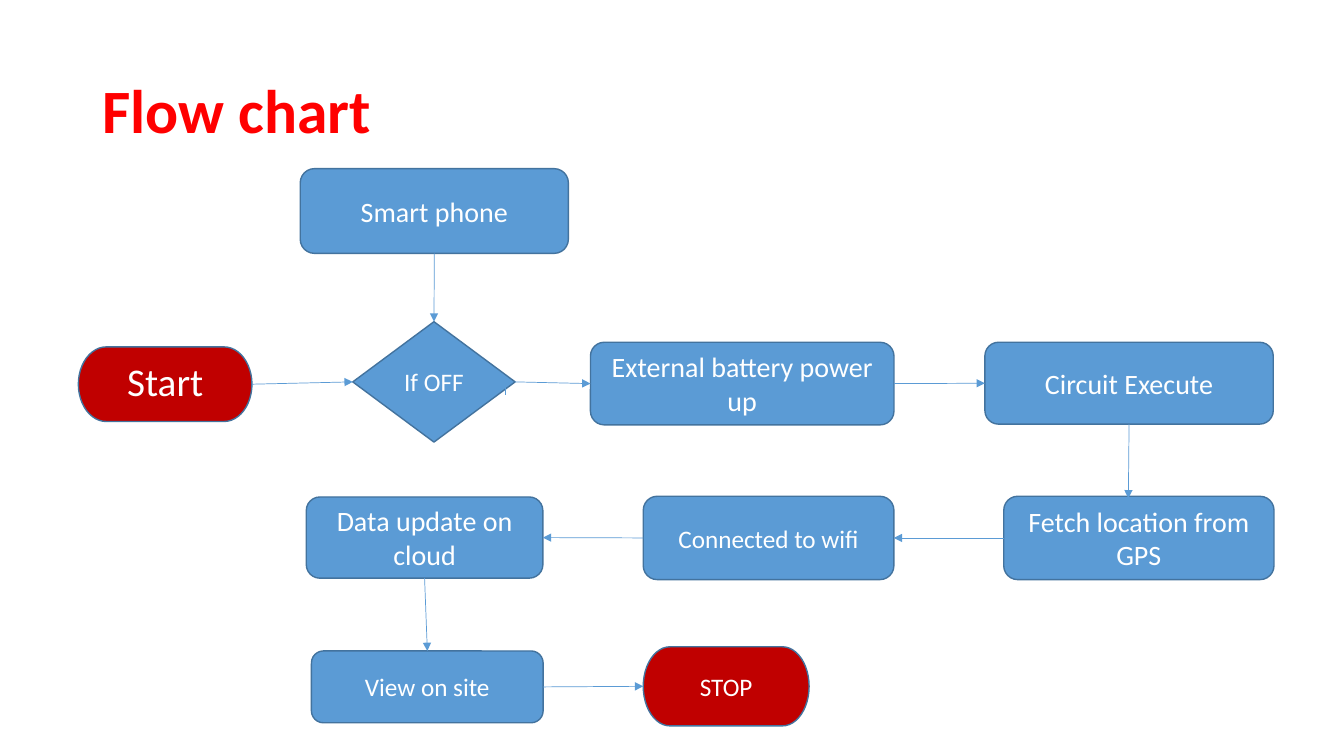
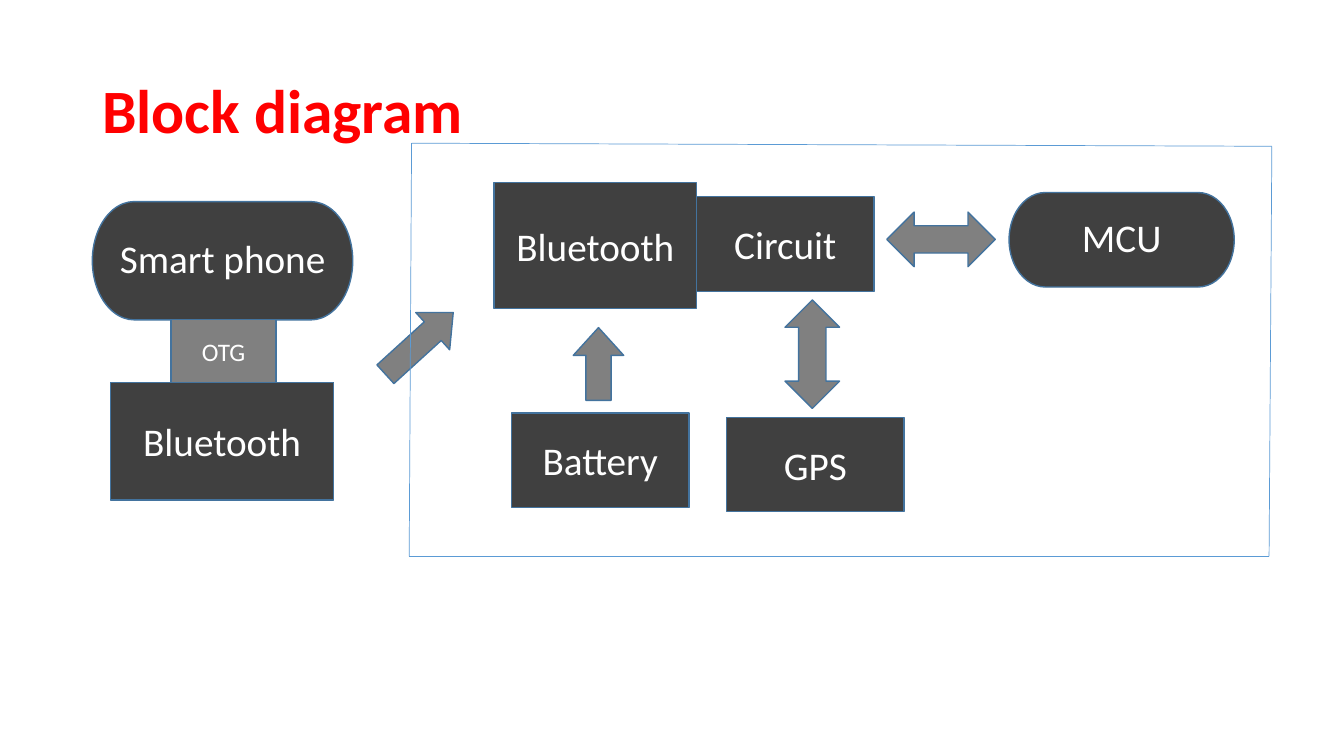
from itertools import pairwise

from pptx import Presentation
from pptx.dml.color import RGBColor
from pptx.enum.shapes import MSO_CONNECTOR, MSO_SHAPE
from pptx.enum.text import MSO_ANCHOR, PP_ALIGN
from pptx.oxml.ns import qn
from pptx.util import Pt
from lxml.etree import SubElement

FONT = "Calibri"
COLORS = {
    "title": "FF0000",
    "text": "FFFFFF",
    "step": "5B9BD5",
    "terminal": "C00000",
    "block": "404040",
    "arrow": "808080",
    "outline": "43739E",
    "line": "5B9BD5",
}
TOP, LEFT, BOTTOM, RIGHT = range(4)
STEP = MSO_SHAPE.ROUNDED_RECTANGLE
TERMINAL = MSO_SHAPE.FLOWCHART_TERMINATOR
DECISION = MSO_SHAPE.FLOWCHART_DECISION
PROCESS = MSO_SHAPE.FLOWCHART_PROCESS
DOUBLE_ARROW = MSO_SHAPE.LEFT_RIGHT_ARROW
DOWN_ARROW = MSO_SHAPE.DOWN_ARROW


def rgb(name):
    return RGBColor.from_string(COLORS[name])


def write(sp, text, size=20, color="text", bold=False,
          align=PP_ALIGN.CENTER, spacing=None, before=None):
    tf = sp.text_frame
    tf.word_wrap = True
    tf.vertical_anchor = MSO_ANCHOR.MIDDLE
    p = tf.paragraphs[0]
    p.alignment = align
    if spacing:
        p.line_spacing = spacing
    if before:
        p.space_before = Pt(before)
    r = p.add_run()
    r.text = text
    r.font.name = FONT
    r.font.size = Pt(size)
    r.font.bold = bold
    r.font.color.rgb = rgb(color)


def add_slide(prs, title):
    s = prs.slides.add_slide(prs.slide_layouts[6])
    sp = s.shapes.add_textbox(Pt(66), Pt(29), Pt(828), Pt(104))
    write(sp, title, size=44, color="title", bold=True,
          align=PP_ALIGN.LEFT, spacing=0.9)
    return s


def add_box(s, kind, box, fill, text=None, rotation=0, **fmt):
    sp = s.shapes.add_shape(kind, *map(Pt, box))
    sp.shadow.inherit = False
    sp.fill.solid()
    sp.fill.fore_color.rgb = rgb(fill)
    sp.line.color.rgb = rgb("outline")
    sp.line.width = Pt(1)
    sp.rotation = rotation
    if text:
        write(sp, text, **fmt)
    return sp


def add_line(s, start, end, arrow=False):
    cn = s.shapes.add_connector(MSO_CONNECTOR.STRAIGHT, *map(Pt, (*start, *end)))
    cn.line.color.rgb = rgb("line")
    cn.line.width = Pt(0.5)
    if arrow:
        SubElement(cn.line._get_or_add_ln(), qn("a:tailEnd"), type="triangle")
    SubElement(cn._element.spPr, qn("a:effectLst"))
    return cn


def link(s, source, source_side, target, target_side):
    cn = add_line(s, (0, 0), (0, 0), arrow=True)
    cn.begin_connect(source, source_side)
    cn.end_connect(target, target_side)


def flow_chart(prs):
    s = add_slide(prs, "Flow chart")
    stop = add_box(s, TERMINAL, (459.5, 462, 118.5, 56.5), "terminal", "STOP", size=18)
    decision = add_box(s, DECISION, (252, 229.8, 116, 86), "step", "If OFF", size=18)
    start = add_box(s, TERMINAL, (56, 247.8, 124, 53.3), "terminal", "Start",
                    size=28, spacing=0.9, before=10)

    steps = [
        ("Smart phone", (214.5, 120.5, 191.5, 60.5), 20),
        ("External battery power up", (421.8, 244.5, 216.8, 59), 20),
        ("Circuit Execute", (703.5, 244.5, 206, 58.5), 20),
        ("Fetch location from GPS", (717, 354.5, 193, 59.5), 20),
        ("Connected to wifi", (459.5, 354.5, 179, 59.5), 18),
        ("Data update on cloud", (218.8, 355, 169, 58), 20),
        ("View on site", (222.5, 465, 165.5, 51.3), 18),
    ]
    phone, battery, board, location, wifi, cloud, site = [
        add_box(s, STEP, box, "step", text, size=size) for text, box, size in steps
    ]

    for ends in [
        (start, RIGHT, decision, LEFT),
        (phone, BOTTOM, decision, TOP),
        (decision, RIGHT, battery, LEFT),
        (battery, RIGHT, board, LEFT),
        (location, LEFT, wifi, RIGHT),
        (wifi, LEFT, cloud, RIGHT),
        (cloud, BOTTOM, site, TOP),
        (site, RIGHT, stop, LEFT),
    ]:
        link(s, *ends)
    down = add_line(s, (806.5, 303), (806, 356), arrow=True)
    down.begin_connect(board, BOTTOM)
    add_line(s, (360.7, 276.5), (360.7, 282.2))


def block_diagram(prs):
    s = add_slide(prs, "Block diagram")
    rounded = {"spacing": 0.9, "before": 10}
    add_box(s, TERMINAL, (66, 144, 186, 84.5), "block", "Smart phone", size=28, **rounded)
    add_box(s, PROCESS, (122.3, 228.3, 75, 45), "arrow", "OTG", size=18)

    for text, box in [
        ("Bluetooth", (79, 273.2, 159.3, 84)),
        ("Bluetooth", (353, 130.3, 144.5, 90)),
        ("Circuit", (497.5, 140.5, 126.8, 67.5)),
        ("GPS", (519, 298, 126.8, 67.5)),
        ("Battery", (365.3, 295, 126.8, 67.5)),
    ]:
        add_box(s, PROCESS, box, "block", text, size=28)
    add_box(s, TERMINAL, (720.8, 137.5, 160.8, 67.5), "block", "MCU", size=28, **rounded)

    for box, rotation in [((541.5, 233.5, 77.5, 39), 270), ((633.5, 151.5, 77.5, 39), 0)]:
        add_box(s, DOUBLE_ARROW, box, "arrow", rotation=rotation)
    for box, rotation in [((281.5, 212.5, 36, 65.5), 227.7), ((409.5, 234, 36, 52), 180)]:
        sp = add_box(s, DOWN_ARROW, box, "arrow", rotation=rotation)
        sp.adjustments[1] = 0.55

    corners = [(294, 102.3), (908.5, 104.5), (906.5, 397.4), (292.3, 397.4)]
    for start, end in pairwise(corners + corners[:1]):
        add_line(s, start, end)


def main():
    prs = Presentation()
    prs.slide_width = Pt(960)
    prs.slide_height = Pt(540)
    flow_chart(prs)
    block_diagram(prs)
    prs.save("out.pptx")


if __name__ == "__main__":
    main()
